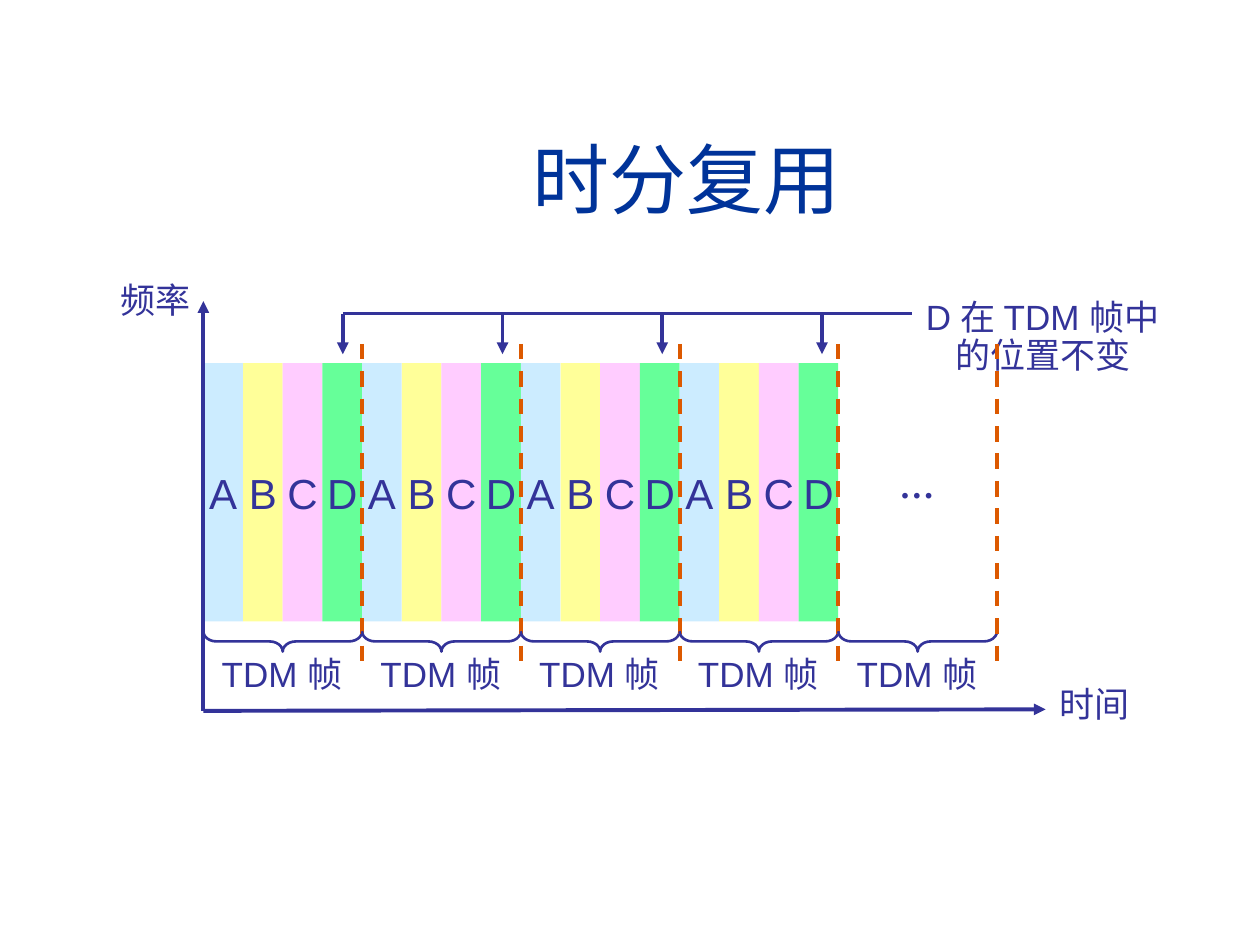
from lxml import etree
from pptx import Presentation
from pptx.dml.color import RGBColor
from pptx.enum.dml import MSO_LINE
from pptx.enum.shapes import MSO_CONNECTOR, MSO_SHAPE
from pptx.enum.text import MSO_ANCHOR, MSO_AUTO_SIZE, PP_ALIGN
from pptx.oxml.ns import qn
from pptx.util import Cm, Pt

LEFT, CENTER = PP_ALIGN.LEFT, PP_ALIGN.CENTER
TOP, MIDDLE, BOTTOM = MSO_ANCHOR.TOP, MSO_ANCHOR.MIDDLE, MSO_ANCHOR.BOTTOM
RECTANGLE, BRACE = MSO_SHAPE.RECTANGLE, MSO_SHAPE.LEFT_BRACE
STRAIGHT, DASH = MSO_CONNECTOR.STRAIGHT, MSO_LINE.DASH

NAVY = RGBColor(0x00, 0x33, 0x99)
INDIGO = RGBColor(0x33, 0x33, 0x99)
ORANGE = RGBColor(0xDC, 0x59, 0x00)
BLUE = RGBColor(0xCC, 0xEC, 0xFF)
YELLOW = RGBColor(0xFF, 0xFF, 0x99)
PINK = RGBColor(0xFF, 0xCC, 0xFF)
GREEN = RGBColor(0x66, 0xFF, 0x99)

# Content
TITLE = "时分复用 "
USERS = [("A", BLUE), ("B", YELLOW), ("C", PINK), ("D", GREEN)]
FRAME_LABEL = "TDM 帧"
NOTE = ["D 在 TDM 帧中", "的位置不变"]
FILLED_FRAMES, FRAMES = 4, 5

# Geometry in centimetres
ORIGIN_X, ORIGIN_Y = 4.1, 14.33
SLOT = 0.8
FRAME = SLOT * len(USERS)
SLOT_TOP, SLOT_HEIGHT = 7.32, 5.21
RAIL_Y, RAIL_X, ARROW_STEP = 6.32, 6.91, 3.22
BRACE_Y, BRACE_DEPTH = 12.93, 0.41


def write(frame, lines, size=20, font="Arial", color=INDIGO, bold=False,
          align=LEFT, anchor=TOP, spacing=None, wrap=False):
    frame.word_wrap = wrap
    frame.auto_size = MSO_AUTO_SIZE.NONE
    frame.vertical_anchor = anchor
    frame.margin_left = frame.margin_right = Cm(0.25)
    frame.margin_top = frame.margin_bottom = Cm(0.13)
    for i, line in enumerate(lines):
        paragraph = frame.paragraphs[0] if i == 0 else frame.add_paragraph()
        paragraph.alignment = align
        paragraph.line_spacing = spacing
        run = paragraph.add_run()
        run.text = line
        run.font.size, run.font.name, run.font.bold = Pt(size), font, bold
        run.font.color.rgb = color


def label(slide, box, lines, **text_format):
    text_box = slide.shapes.add_textbox(*map(Cm, box))
    write(text_box.text_frame, lines, **text_format)


def line(slide, start, end, color=INDIGO, arrow=False, dash=None):
    connector = slide.shapes.add_connector(STRAIGHT, *map(Cm, start + end))
    connector.line.color.rgb = color
    connector.line.width = Pt(2.25)
    if dash:
        connector.line.dash_style = dash
    if arrow:
        etree.SubElement(connector.line._get_or_add_ln(), qn("a:tailEnd"), type="triangle")
    etree.SubElement(connector._element.spPr, qn("a:effectLst"))


def slot(slide, x, user, color):
    bar = slide.shapes.add_shape(RECTANGLE, Cm(x), Cm(SLOT_TOP), Cm(SLOT), Cm(SLOT_HEIGHT))
    bar.shadow.inherit = False
    bar.fill.solid()
    bar.fill.fore_color.rgb = color
    bar.line.fill.background()
    write(bar.text_frame, [user], size=24, align=CENTER, anchor=MIDDLE)


def brace(slide, center_x):
    # A tall left brace turned so that its point faces down
    shape = slide.shapes.add_shape(
        BRACE, Cm(center_x - BRACE_DEPTH / 2), Cm(BRACE_Y - FRAME / 2),
        Cm(BRACE_DEPTH), Cm(FRAME))
    shape.rotation = 270
    shape.adjustments[0] = 0.65
    shape.shadow.inherit = False
    shape.fill.background()
    shape.line.color.rgb = INDIGO
    shape.line.width = Pt(1.5)


def main():
    deck = Presentation()
    deck.slide_width, deck.slide_height = Cm(25.4), Cm(19.05)
    slide = deck.slides.add_slide(deck.slide_layouts[5])

    title = slide.shapes.title
    title.left, title.top, title.width, title.height = map(Cm, (3.2, 0.58, 21.64, 4.06))
    write(title.text_frame, [TITLE], size=44, color=NAVY, align=CENTER,
          anchor=BOTTOM, wrap=True)

    # Time axis and axis names
    line(slide, (ORIGIN_X, ORIGIN_Y), (21.08, 14.3), arrow=True)
    for name, x, y in [("频率", 2.18, 5.59), ("时间", 21.11, 13.72)]:
        label(slide, (x, y, 1.91, 1.02), [name], font="Times New Roman", spacing=0.9)

    # Time slots
    for frame in range(FILLED_FRAMES):
        for i, (user, color) in enumerate(USERS):
            slot(slide, ORIGIN_X + frame * FRAME + i * SLOT, user, color)

    # Note with a rail of arrows to every D slot
    label(slide, (18.16, 5.92, 5.72, 1.78), NOTE, align=CENTER, spacing=0.9)
    line(slide, (RAIL_X, RAIL_Y), (18.39, RAIL_Y))
    for frame in range(FILLED_FRAMES):
        x = RAIL_X + frame * ARROW_STEP
        line(slide, (x, RAIL_Y), (x, 7.14), arrow=True)

    # Frequency axis and continuation mark
    line(slide, (ORIGIN_X, ORIGIN_Y), (ORIGIN_X, 6.07), arrow=True)
    label(slide, (17.88, 9.22, 1.22, 1.09), ["…"], font="Times New Roman",
          bold=True, wrap=True)

    # Frame braces, names and boundaries
    for frame in range(FRAMES):
        x = ORIGIN_X + frame * FRAME
        brace(slide, x + FRAME / 2)
        label(slide, (x + 0.12, 13.13, 3.1, 1.02), [FRAME_LABEL], spacing=0.9)
        line(slide, (x + FRAME, 6.93), (x + FRAME, 13.51), color=ORANGE, dash=DASH)

    deck.save("out.pptx")


if __name__ == "__main__":
    main()
